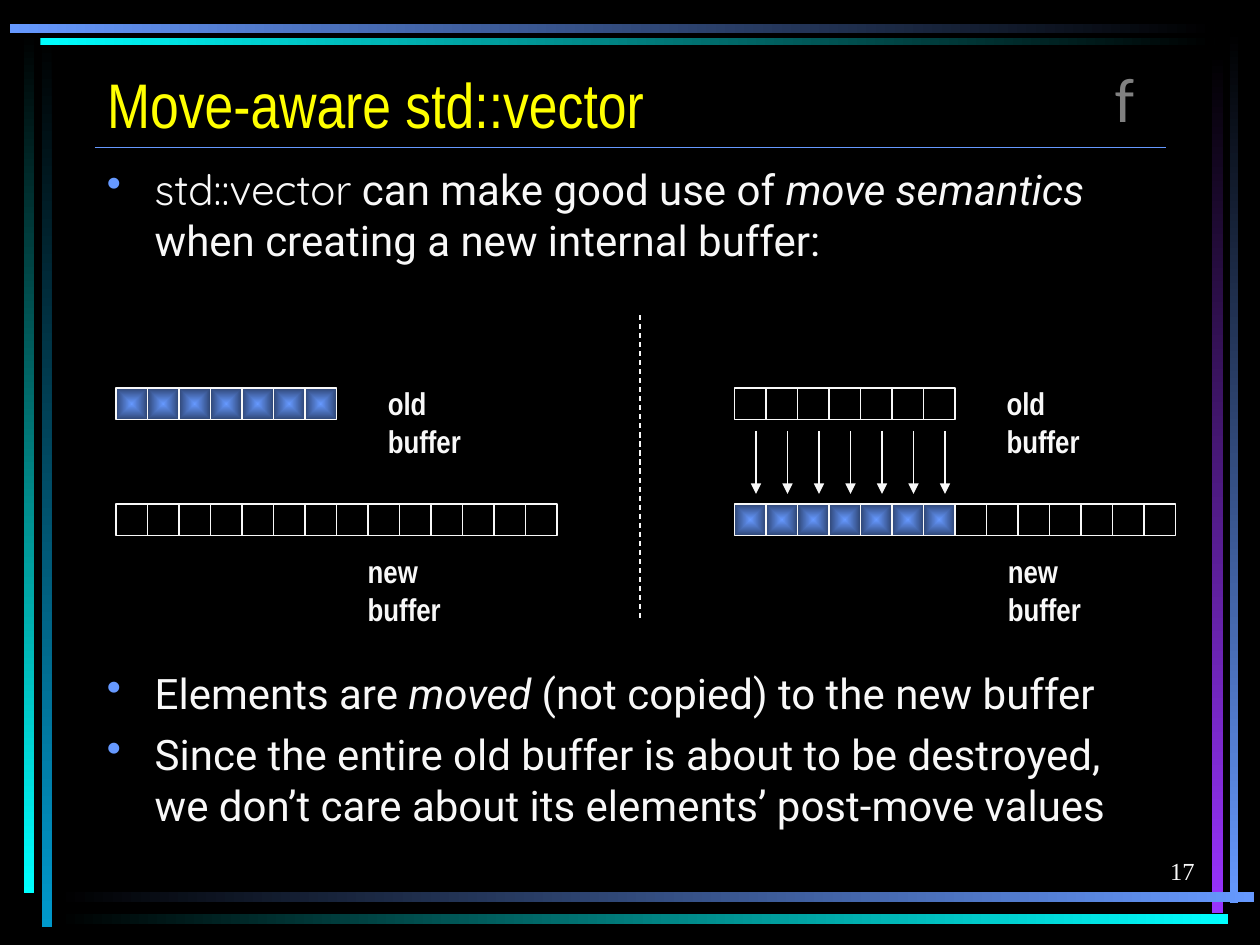
from lxml import etree
from pptx import Presentation
from pptx.dml.color import RGBColor
from pptx.enum.dml import MSO_LINE
from pptx.enum.shapes import MSO_CONNECTOR, MSO_SHAPE
from pptx.enum.text import MSO_ANCHOR, MSO_AUTO_SIZE, PP_ALIGN
from pptx.oxml.ns import qn
from pptx.util import Inches, Pt

STRAIGHT = MSO_CONNECTOR.STRAIGHT
RECTANGLE = MSO_SHAPE.RECTANGLE
DASH = MSO_LINE.DASH
BOTTOM, TOP = MSO_ANCHOR.BOTTOM, MSO_ANCHOR.TOP
LEFT, RIGHT = PP_ALIGN.LEFT, PP_ALIGN.RIGHT
NO_FIT = MSO_AUTO_SIZE.NONE
DOWN, ACROSS = 270, 0

COLORS = {
    "black": "000000", "white": "F8F8F8", "yellow": "FFFF00", "gray": "808080",
    "blue": "6699FF", "navy": "2F4675", "cyan": "00FFFF", "teal": "0099CC",
    "purple": "9933FF",
}
TITLE = {"name": "Arial Narrow", "size": 36, "color": "yellow"}
MARK = {"name": "Calibri", "size": 36, "color": "gray"}
BODY = {"name": "Roboto", "size": 24, "color": "white"}
EMPHASIS = {**BODY, "italic": True}
CODE = {**BODY, "name": "Quicksand"}
LABEL = {"name": "Arial Narrow", "size": 18, "color": "white", "bold": True}
NUMBER = {"name": "Times New Roman", "size": 14, "color": "white"}

CELL = 0.25
OLD_COUNT, NEW_COUNT = 7, 14
OLD_TOP, NEW_TOP = 0.08, 1

# left, top, width, height, start color, end color, direction
FRAME_BARS = [
    (0.33, 0.28, 0.08, 7.08, "black", "teal", DOWN),
    (0.19, 0.25, 0.08, 6.84, "black", "cyan", DOWN),
    (9.76, 0.24, 0.07, 6.93, "black", "blue", DOWN),
    (9.62, 0.42, 0.09, 6.83, "black", "purple", DOWN),
    (0.45, 7.08, 9.5, 0.08, "black", "blue", ACROSS),
    (0.45, 7.25, 9.3, 0.08, "black", "cyan", ACROSS),
    (0.32, 0.3, 9.32, 0.06, "cyan", "black", ACROSS),
    (0.08, 0.19, 9.56, 0.07, "blue", "black", ACROSS),
]


def rgb(color):
    return RGBColor.from_string(COLORS[color])


def add_span(para, text, style):
    span = para.add_run()
    span.text = text
    for key, value in style.items():
        if key == "color":
            span.font.color.rgb = rgb(value)
        else:
            setattr(span.font, key, Pt(value) if key == "size" else value)


def add_text(shapes, box, text, style, wrap=True, anchor=TOP, align=LEFT):
    shape = shapes.add_textbox(*map(Inches, box))
    frame = shape.text_frame
    frame.word_wrap = wrap
    frame.vertical_anchor = anchor
    frame.paragraphs[0].alignment = align
    add_span(frame.paragraphs[0], text, style)


def add_line(shapes, start, end, color="white", dash=None, arrow=False):
    line = shapes.add_connector(STRAIGHT, *map(Inches, (*start, *end)))
    line.line.color.rgb = rgb(color)
    line.line.width = Pt(0.75)
    if dash:
        line.line.dash_style = dash
    if arrow:
        outline = line.line._get_or_add_ln()
        etree.SubElement(outline, qn("a:tailEnd"), type="triangle")
    properties = line._element.spPr
    etree.SubElement(properties, qn("a:effectLst"))


def add_rectangle(shapes, box):
    shape = shapes.add_shape(RECTANGLE, *map(Inches, box))
    shape.shadow.inherit = False
    return shape


def fill_gradient(shape, start, end, angle=ACROSS):
    shape.fill.gradient()
    shape.fill.gradient_angle = angle
    for stop, color, position in zip(shape.fill.gradient_stops, (start, end), (0, 1)):
        stop.color.rgb = rgb(color)
        stop.position = position


def fill_from_center(shape, center, edge):
    """Turn a two-color gradient into one that spreads from the middle."""
    fill_gradient(shape, center, edge)
    linear = shape._element.spPr.find(".//" + qn("a:lin"))
    spread = etree.Element(qn("a:path"), {"path": "rect"})
    sides = dict.fromkeys("ltrb", "50000")
    etree.SubElement(spread, qn("a:fillToRect"), sides)
    linear.getparent().replace(linear, spread)


def add_frame(page):
    for *box, start, end, angle in FRAME_BARS:
        bar = add_rectangle(page.shapes, box)
        fill_gradient(bar, start, end, angle)
        bar.line.fill.background()


def add_header(page, left, top, width):
    add_line(page.shapes, (left, top + 0.67), (left + width, top + 0.67), "blue")
    add_text(page.shapes, (left + 8, top - 0.08, 0.75, 0.7), "f", MARK)
    title = page.shapes.title
    box = {"left": left, "top": top, "width": width, "height": 0.67}
    for key, value in box.items():
        setattr(title, key, Inches(value))
    frame = title.text_frame
    frame.auto_size = NO_FIT
    frame.vertical_anchor = BOTTOM
    frame.paragraphs[0].alignment = LEFT
    add_span(frame.paragraphs[0], "Move-aware std::vector", TITLE)


def add_bullets(page, box, items):
    frame = page.shapes.add_textbox(*map(Inches, box)).text_frame
    frame.word_wrap = True
    for index, spans in enumerate(items):
        para = frame.add_paragraph() if index else frame.paragraphs[0]
        properties = para._p.get_or_add_pPr()
        properties.set("marL", str(Inches(0.38)))
        properties.set("indent", str(Inches(-0.38)))
        if index:
            para.space_before = Pt(6)
        bullet_color = etree.SubElement(properties, qn("a:buClr"))
        etree.SubElement(bullet_color, qn("a:srgbClr"), val=COLORS["blue"])
        etree.SubElement(properties, qn("a:buChar"), char="•")
        for text, style in spans:
            add_span(para, text, style)


def add_buffer(shapes, left, top, count, filled):
    """Draw a row of cells, of which the first ones hold elements."""
    for index in range(count):
        cell = add_rectangle(shapes, (left + index * CELL, top, CELL, CELL))
        if index < filled:
            fill_from_center(cell, "blue", "navy")
        else:
            cell.fill.background()
        cell.line.color.rgb = rgb("white")
        cell.line.width = Pt(0.75)


def add_state(page, left, top, new_label, moved):
    """Draw the old and new buffers, before or after the move."""
    shapes = page.shapes.add_group_shape().shapes
    add_buffer(shapes, left, top + OLD_TOP, OLD_COUNT, 0 if moved else OLD_COUNT)
    add_buffer(shapes, left, top + NEW_TOP, NEW_COUNT, OLD_COUNT if moved else 0)
    if moved:
        for index in range(OLD_COUNT):
            x = left + 0.17 + index * CELL
            add_line(shapes, (x, top + 0.42), (x, top + 0.92), arrow=True)
    add_text(shapes, (left + 2.06, top, 1.14, 0.4), "old buffer", LABEL, wrap=False)
    add_text(shapes, (left + new_label, top + 1.33, 1.23, 0.4), "new buffer", LABEL,
             wrap=False)


def main():
    deck = Presentation()
    deck.slide_width, deck.slide_height = Inches(10), Inches(7.5)
    page = deck.slides.add_slide(deck.slide_layouts[5])
    page.background.fill.solid()
    page.background.fill.fore_color.rgb = rgb("black")

    add_frame(page)
    add_header(page, 0.75, 0.5, 8.5)
    add_bullets(page, (0.75, 1.25, 8.5, 0.94), [
        [("std::vector", CODE), (" can make good use of ", BODY),
         ("move semantics", EMPHASIS),
         (" when creating a new internal buffer:", BODY)],
    ])
    add_state(page, 0.92, 3, new_label=1.9, moved=False)
    add_state(page, 5.83, 3, new_label=2.07, moved=True)
    add_bullets(page, (0.75, 5.25, 8.5, 1.79), [
        [("Elements are ", BODY), ("moved", EMPHASIS),
         (" (not copied) to the new buffer", BODY)],
        [("Since the entire old buffer is about to be destroyed, "
          "we don’t care about its elements’ post-move values", BODY)],
    ])
    add_line(page.shapes, (5.08, 2.5), (5.08, 4.92), dash=DASH)
    add_text(page.shapes, (7.5, 6.58, 2.08, 0.5), "17", NUMBER,
             anchor=BOTTOM, align=RIGHT)
    deck.save("out.pptx")


if __name__ == "__main__":
    main()
